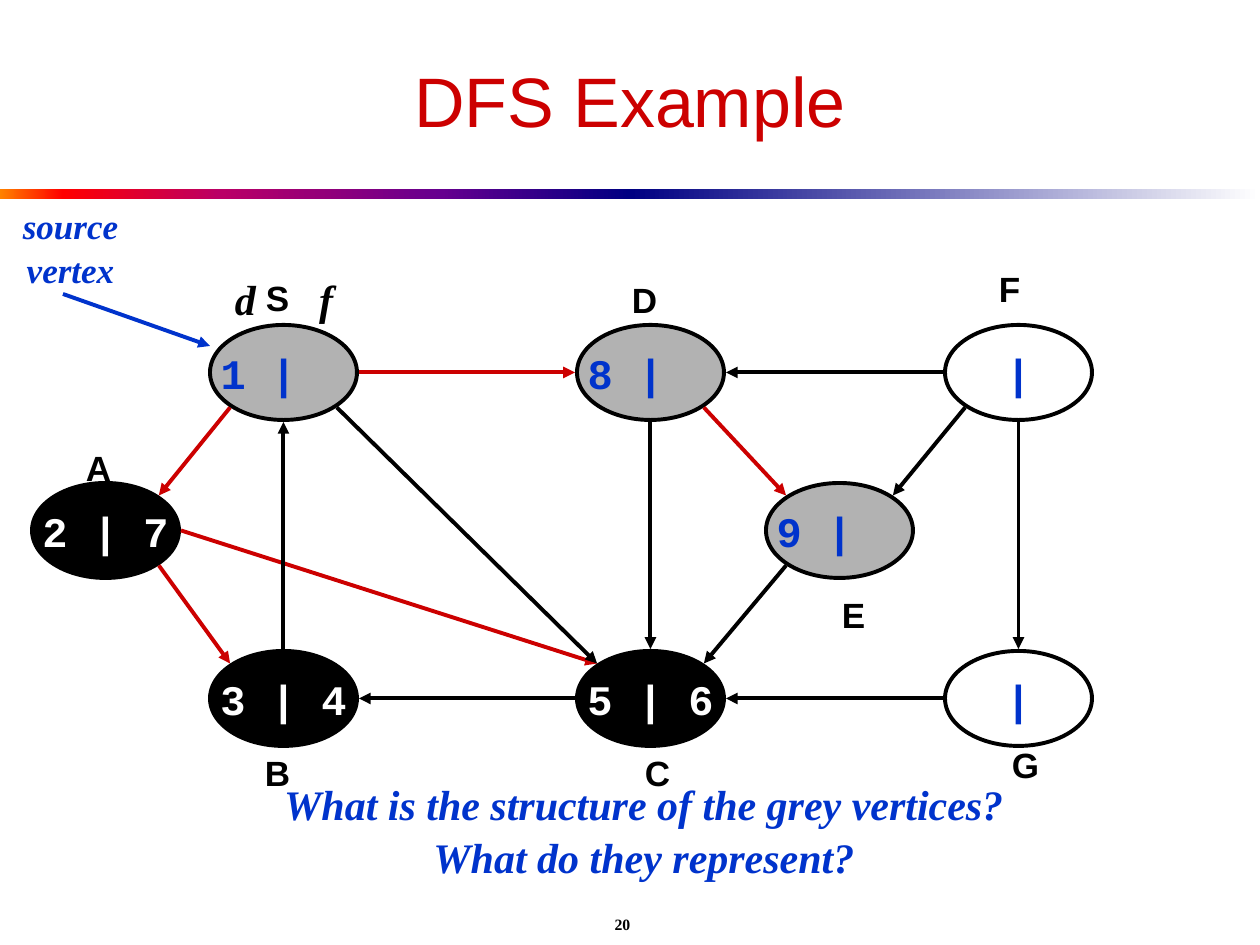
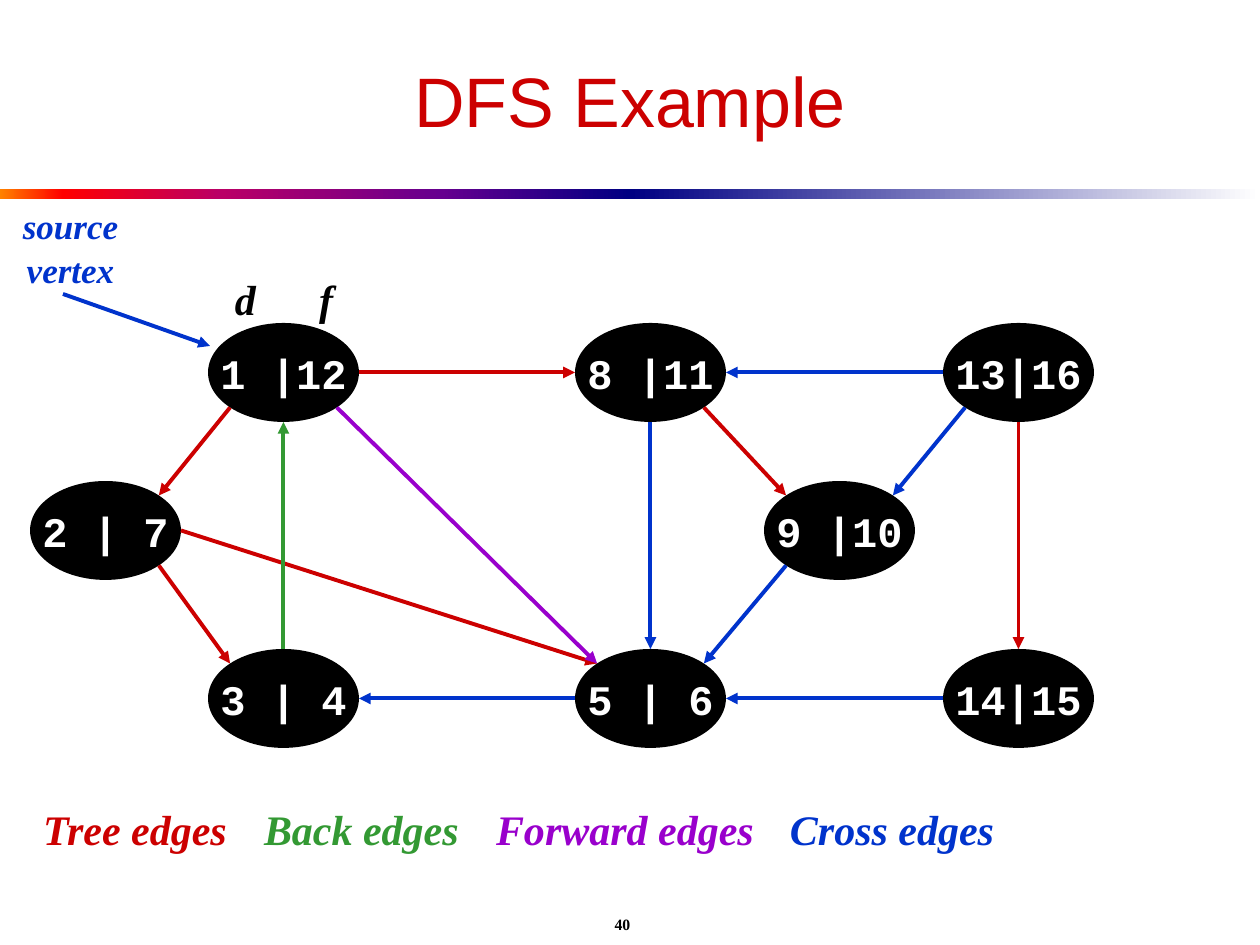
from math import sqrt

from lxml.etree import SubElement
from pptx import Presentation
from pptx.dml.color import RGBColor
from pptx.enum.shapes import MSO_CONNECTOR as Connector, MSO_SHAPE as Shape
from pptx.enum.text import MSO_ANCHOR as Anchor, PP_ALIGN as Align
from pptx.oxml.ns import qn
from pptx.util import Pt

PX = 914400 // 126
WIDTH, HEIGHT = 1260, 945

BLACK = RGBColor(0x00, 0x00, 0x00)
WHITE = RGBColor(0xFF, 0xFF, 0xFF)
GREY = RGBColor(0xB2, 0xB2, 0xB2)
RED = RGBColor(0xCC, 0x00, 0x00)
BLUE = RGBColor(0x00, 0x33, 0xCC)
GREEN = RGBColor(0x33, 0x99, 0x33)
PURPLE = RGBColor(0x99, 0x00, 0xCC)
ORANGE = RGBColor(0xFF, 0x82, 0x00)
BRIGHT_RED = RGBColor(0xFF, 0x00, 0x00)
MAGENTA = RGBColor(0xBA, 0x00, 0x66)
VIOLET = RGBColor(0x66, 0x00, 0x8F)
NAVY = RGBColor(0x00, 0x00, 0x82)

TITLE = {"name": "Arial", "size": Pt(40), "color": RED}
LETTER = {"name": "Arial", "size": Pt(20), "bold": True, "color": BLACK}
TIMES = {"name": "Courier New", "size": Pt(24), "bold": True}
NOTE = {"name": "Times New Roman", "size": Pt(24), "bold": True, "italic": True}
SOURCE = {**NOTE, "size": Pt(20), "color": BLUE}
FOOTER = {"name": "Times New Roman", "size": Pt(9), "bold": True, "color": BLACK}

BANDS = [
    [(0, ORANGE), (10, BRIGHT_RED), (35, MAGENTA), (70, VIOLET), (100, NAVY)],
    [(0, NAVY), (100, WHITE)],
]

OVAL_W, OVAL_H = 147, 95
CHAR_W = 25
COLUMNS = [210, 577, 945]
TOP_ROW, MIDDLE_ROW, BOTTOM_ROW = 325, 483, 651
VERTICES = {
    "S": (COLUMNS[0], TOP_ROW), "D": (COLUMNS[1], TOP_ROW), "F": (COLUMNS[2], TOP_ROW),
    "G": (COLUMNS[2], BOTTOM_ROW), "C": (COLUMNS[1], BOTTOM_ROW), "B": (COLUMNS[0], BOTTOM_ROW),
    "A": (32, MIDDLE_ROW), "E": (766, MIDDLE_ROW),
}
LETTERS = {
    "S": (266, 271), "A": (86, 441), "B": (265, 746), "C": (645, 746),
    "D": (632, 273), "E": (842, 588), "F": (999, 262), "G": (1012, 738),
}

SIDES = {"n": (0, -1), "s": (0, 1), "w": (-1, 0), "e": (1, 0),
         "nw": (-1, -1), "ne": (1, -1), "sw": (-1, 1), "se": (1, 1)}
EDGE_COLORS = {"tree": RED, "back": GREEN, "forward": PURPLE, "cross": BLUE}
EDGES = [
    ("S", "sw", "A", "ne", "tree"), ("A", "se", "B", "nw", "tree"),
    ("A", "e", "C", "nw", "tree"), ("C", "w", "B", "e", "cross"),
    ("B", "n", "S", "s", "back"), ("S", "se", "C", "nw", "forward"),
    ("D", "s", "C", "n", "cross"), ("S", "e", "D", "w", "tree"),
    ("F", "w", "D", "e", "cross"), ("D", "se", "E", "nw", "tree"),
    ("F", "sw", "E", "ne", "cross"), ("F", "s", "G", "n", "tree"),
    ("G", "w", "C", "e", "cross"), ("E", "sw", "C", "ne", "cross"),
]

# Discovery and finish label of each vertex
HALFWAY = {"S": "1 |", "D": "8 |", "F": "|", "G": "|",
           "C": "5 | 6", "B": "3 | 4", "A": "2 | 7", "E": "9 |"}
FINISHED = {"S": "1 |12", "D": "8 |11", "F": "13|16", "G": "14|15",
            "C": "5 | 6", "B": "3 | 4", "A": "2 | 7", "E": "9 |10"}

QUESTION = ["What is the structure of the grey vertices?", "What do they represent?"]
LEGEND = [("Tree edges", RED, 184), ("Back edges", GREEN, 195),
          ("Forward edges", PURPLE, 257), ("Cross edges", BLUE, 204)]
LEGEND_LEFT, LEGEND_TOP, LEGEND_GAP = 43, 804, 37


def px(*lengths):
    return [round(length * PX) for length in lengths]


def fill_text(shape, lines, style, align, anchor=Anchor.MIDDLE, wrap=True):
    frame = shape.text_frame
    frame.word_wrap = wrap
    frame.vertical_anchor = anchor
    for side in ("left", "right", "top", "bottom"):
        setattr(frame, f"margin_{side}", 0)
    frame.text = "\n".join(lines)
    for index, para in enumerate(frame.paragraphs):
        para.alignment = align
        if index:
            para.space_before = Pt(1)
        for span in para.runs:
            for name, value in style.items():
                if name == "color":
                    span.font.color.rgb = value
                else:
                    setattr(span.font, name, value)
    return frame


def add_text(page, place, lines, style, align=Align.LEFT, **options):
    box = page.shapes.add_textbox(*px(*place))
    return fill_text(box, lines, style, align, **options)


def add_band(page, left, stops):
    band = page.shapes.add_shape(Shape.RECTANGLE, *px(left, 189, WIDTH // 2, 10))
    band.shadow.inherit = False
    band.line.fill.background()
    band.fill.gradient()
    band.fill.gradient_angle = 0
    stop_list = band._element.spPr.find(".//" + qn("a:gsLst"))
    for stop in list(stop_list):
        stop_list.remove(stop)
    for percent, color in stops:
        stop = SubElement(stop_list, qn("a:gs"), pos=str(percent * 1000))
        SubElement(stop, qn("a:srgbClr"), val=str(color))


def add_arrow(page, start, end, color):
    arrow = page.shapes.add_connector(Connector.STRAIGHT, *px(*start, *end))
    arrow.line.color.rgb = color
    arrow.line.width = Pt(2.25)
    SubElement(arrow.line._get_or_add_ln(), qn("a:tailEnd"), type="triangle")
    SubElement(arrow._element.spPr, qn("a:effectLst"))


def rim_point(vertex, side):
    """Point just outside the oval, in a compass direction."""
    left, top = VERTICES[vertex]
    across, down = SIDES[side]
    length = sqrt(across ** 2 + down ** 2)
    return (left + OVAL_W / 2 + (OVAL_W / 2 + 2) * across / length,
            top + OVAL_H / 2 + (OVAL_H / 2 + 2) * down / length)


def add_vertex(page, place, label):
    """Undiscovered vertices are empty, open ones grey and finished ones black."""
    oval = page.shapes.add_shape(Shape.OVAL, *px(*place, OVAL_W, OVAL_H))
    oval.shadow.inherit = False
    oval.line.color.rgb = BLACK
    oval.line.width = Pt(2.25)
    finished = not label.endswith("|")
    if label == "|":
        oval.fill.background()
    else:
        oval.fill.solid()
        oval.fill.fore_color.rgb = BLACK if finished else GREY
    style = {**TIMES, "color": WHITE if finished else BLUE}
    frame = fill_text(oval, [label], style, Align.CENTER, wrap=False)
    if len(label) == 3:  # keep the missing finish time's two columns free
        frame.margin_right = 2 * CHAR_W * PX


def add_graph(page, labels, edge_color):
    for vertex, place in VERTICES.items():
        add_vertex(page, place, labels[vertex])
    for start, start_side, end, end_side, kind in EDGES:
        add_arrow(page, rim_point(start, start_side), rim_point(end, end_side),
                  edge_color(start, kind))
    add_arrow(page, (63, 294), (210, 346), BLUE)
    add_text(page, (10, 205, 121, 84), ["source", "vertex"], SOURCE, Align.CENTER,
             anchor=Anchor.TOP)
    for mark, left in (("d", 235), ("f", 319)):
        add_text(page, (left, 275, 30, 48), [mark], {**NOTE, "color": BLACK})


def new_page(deck, number):
    page = deck.slides.add_slide(deck.slide_layouts[6])
    for index, stops in enumerate(BANDS):
        add_band(page, index * WIDTH // 2, stops)
    add_text(page, (63, 32, 1134, 136), ["DFS Example"], TITLE, Align.CENTER)
    add_text(page, (592, 904, 61, 41), [str(number)], FOOTER, Align.CENTER)
    return page


def halfway_color(start, kind):
    discovered = HALFWAY[start] != "|"
    return RED if kind == "tree" and discovered else BLACK


def build_halfway(deck):
    page = new_page(deck, 20)
    add_graph(page, HALFWAY, halfway_color)
    frame = add_text(page, (271, 779, 766, 107), QUESTION, {**NOTE, "color": BLUE},
                     Align.CENTER, anchor=Anchor.TOP)
    frame.paragraphs[0]._p.get_or_add_pPr().set("marR", str(20 * PX))
    for letter, place in LETTERS.items():
        add_text(page, (*place, 40, 53), [letter], LETTER)


def build_finished(deck):
    page = new_page(deck, 40)
    add_graph(page, FINISHED, lambda start, kind: EDGE_COLORS[kind])
    left = LEGEND_LEFT
    for name, color, width in LEGEND:
        add_text(page, (left, LEGEND_TOP, width + LEGEND_GAP, 50), [name],
                 {**NOTE, "color": color}, anchor=Anchor.TOP)
        left += width + LEGEND_GAP


def main():
    deck = Presentation()
    deck.slide_width, deck.slide_height = px(WIDTH, HEIGHT)
    build_halfway(deck)
    build_finished(deck)
    deck.save("out.pptx")


if __name__ == "__main__":
    main()
